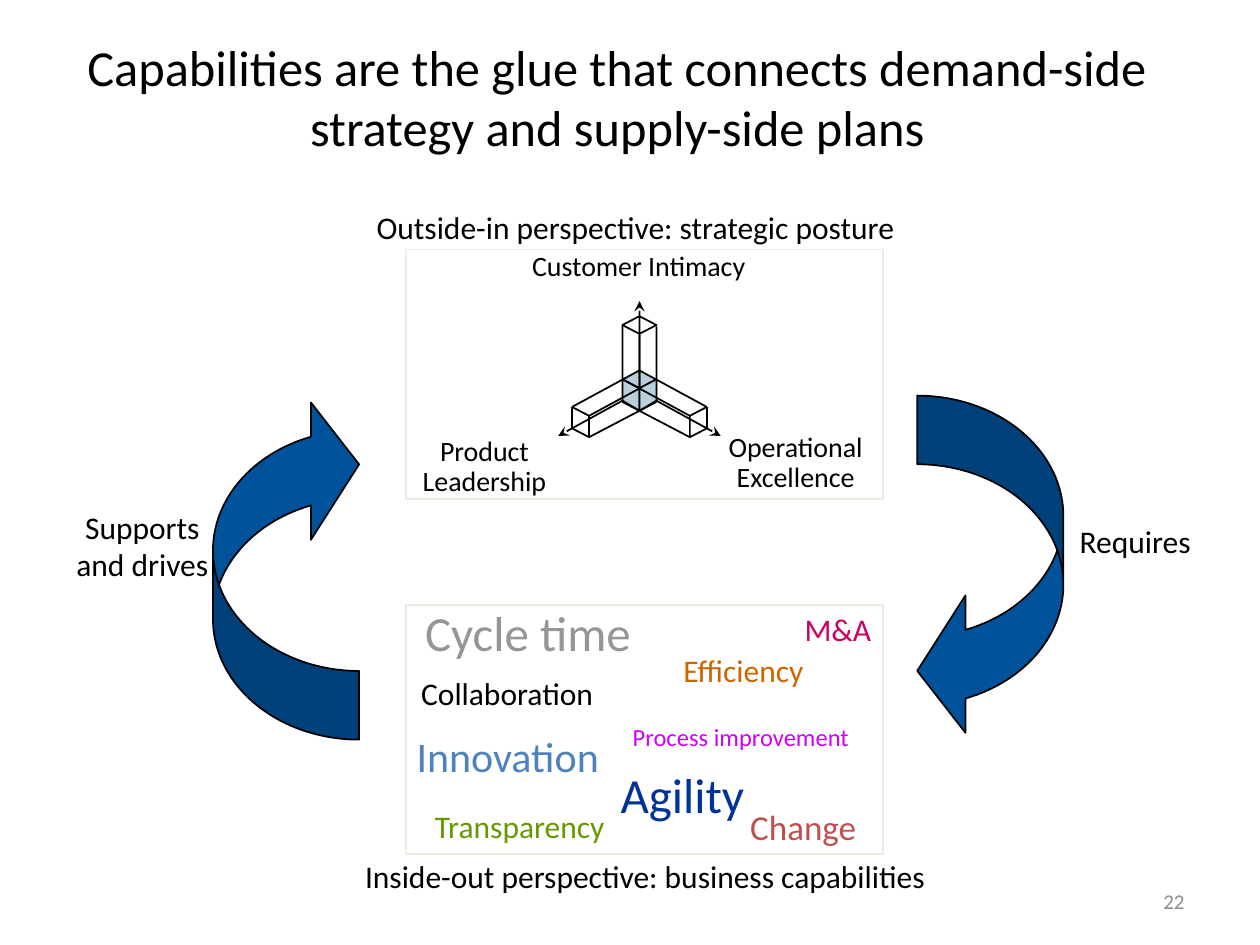
import pptx
import pptx.util
import pptx.dml.color
import pptx.enum.shapes
import pptx.enum.text
import pptx.oxml
import pptx.oxml.ns

RGBColor = pptx.dml.color.RGBColor
MSO_SHAPE = pptx.enum.shapes.MSO_SHAPE
PP_ALIGN = pptx.enum.text.PP_ALIGN
MSO_ANCHOR = pptx.enum.text.MSO_ANCHOR
MSO_AUTO_SIZE = pptx.enum.text.MSO_AUTO_SIZE
Pt = pptx.util.Pt

BLACK = RGBColor(0x00, 0x00, 0x00)
WHITE = RGBColor(0xFF, 0xFF, 0xFF)
CREAM = RGBColor(0xEE, 0xEC, 0xE1)
PALE_BLUE = RGBColor(0xB9, 0xD0, 0xDC)
ARROW_BLUE = RGBColor(0x00, 0x52, 0x9B)
GREY = RGBColor(0x96, 0x96, 0x96)
PAGE_GREY = RGBColor(0x8C, 0x8C, 0x8C)
SKY = RGBColor(0x4F, 0x81, 0xBD)
GREEN = RGBColor(0x66, 0x99, 0x00)
PINK = RGBColor(0xCC, 0x00, 0x66)
ORANGE = RGBColor(0xCC, 0x66, 0x00)
VIOLET = RGBColor(0xCC, 0x00, 0xFF)
RED = RGBColor(0xC0, 0x50, 0x4D)
NAVY = RGBColor(0x00, 0x33, 0x99)

prs = pptx.Presentation()
prs.slide_width = pptx.util.Inches(10)
prs.slide_height = pptx.util.Inches(7.5)
s = prs.slides.add_slide(prs.slide_layouts[6])
CELL = prs.slide_width / 100  # the slide is a grid of 100 columns by 75 rows


def cells(*values):
    return [round(v * CELL) for v in values]


def add_text(text, box, size, color=BLACK, wrap=True, grow=True,
             align=PP_ALIGN.CENTER, anchor=MSO_ANCHOR.TOP, spacing=None):
    tf = s.shapes.add_textbox(*cells(*box)).text_frame
    tf.word_wrap = wrap
    tf.auto_size = MSO_AUTO_SIZE.SHAPE_TO_FIT_TEXT if grow else MSO_AUTO_SIZE.NONE
    tf.vertical_anchor = anchor
    p = tf.paragraphs[0]
    p.text = text
    p.alignment = align
    p.line_spacing = spacing
    p.font.name = "Calibri"
    p.font.size = Pt(size)
    p.font.color.rgb = color


add_text("Capabilities are the glue that connects demand-side strategy and supply-side plans",
         (0.5, 2.8, 97, 9.7), 28.8, grow=False, anchor=MSO_ANCHOR.MIDDLE)

# Upper and lower panels
for top in (19.8, 48):
    sp = s.shapes.add_shape(MSO_SHAPE.RECTANGLE, *cells(32.2, top, 37.9, 19.8))
    sp.shadow.inherit = False
    sp.fill.solid()
    sp.fill.fore_color.rgb = WHITE
    sp.line.color.rgb = CREAM
    sp.line.width = Pt(1)

# Three-axis block: the left and right halves mirror each other about AXIS
AXIS, HALF = 50.75, 1.35
ARM_IN, ARM_OUT = 4, 5.35
strokes = []  # points, fill, arrowhead at the end
for side in (-1, 1):
    half = [
        ([(HALF, 30.1), (HALF, 31.8), (0, 32.6), (0, 30.8)], PALE_BLUE, False),
        ([(-HALF, 30.1), (ARM_IN, 33)], None, False),
        ([(-HALF, 31.9), (ARM_IN, 34.7)], None, False),
        ([(0, 29.4), (ARM_OUT, 32.3)], None, False),
        ([(HALF, 31.8), (6.45, 34.6)], None, True),
        ([(ARM_OUT, 32.3), (ARM_OUT, 34), (ARM_IN, 34.7), (ARM_IN, 33)], None, False),
        ([(ARM_IN, 33), (ARM_OUT, 32.3)], None, False),
    ]
    strokes += [([(AXIS + side * x, y) for x, y in points], fill, arrow)
                for points, fill, arrow in half]
strokes += [
    ([(AXIS - HALF, 25.8), (AXIS - HALF, 30.1), (AXIS, 30.8), (AXIS, 23.9)], None, True),
    ([(AXIS + HALF, 25.9), (AXIS + HALF, 30.1), (AXIS, 30.8), (AXIS, 26.6)], None, False),
]

for top, height, filled in ((29.4, 1.5, True), (25.1, 1.4, False)):
    sp = s.shapes.add_shape(MSO_SHAPE.DIAMOND, *cells(AXIS - HALF, top, 2 * HALF, height))
    sp.shadow.inherit = False
    if filled:
        sp.fill.solid()
        sp.fill.fore_color.rgb = PALE_BLUE
        sp.line.fill.background()
    else:
        sp.fill.background()
        sp.line.color.rgb = BLACK
        sp.line.width = Pt(1)

for points, fill, arrow in strokes:
    corners = [cells(*point) for point in points]
    if len(corners) == 2:
        sp = s.shapes.add_connector(pptx.enum.shapes.MSO_CONNECTOR.STRAIGHT,
                                    *corners[0], *corners[1])
    else:
        builder = s.shapes.build_freeform(*corners[0])
        builder.add_line_segments(corners[1:], close=False)
        sp = builder.convert_to_shape()
        if fill is None:
            sp.fill.background()
        else:
            sp.fill.solid()
            sp.fill.fore_color.rgb = fill
    sp.line.color.rgb = BLACK
    sp.line.width = Pt(1)
    spPr = sp._element.spPr
    if arrow:
        tail = pptx.oxml.parse_xml(
            f'<a:tailEnd {pptx.oxml.ns.nsdecls("a")} type="stealth"/>')
        spPr.find(pptx.oxml.ns.qn("a:ln")).append(tail)
    spPr.append(pptx.oxml.parse_xml(f'<a:effectLst {pptx.oxml.ns.nsdecls("a")}/>'))

for text, box in (
    ("Customer Intimacy", (33.2, 19.5, 35, 3.4)),
    ("Product Leadership", (31.2, 34.2, 14.5, 5.8)),
    ("Operational Excellence", (55.5, 33.9, 15.3, 5.8)),
):
    add_text(text, box, 16, spacing=0.9)

# Cycle arrows
for left, turn in ((72.8, 0), (16.9, 180)):
    sp = s.shapes.add_shape(MSO_SHAPE.CURVED_LEFT_ARROW, *cells(left, 31.4, 11.6, 27.3))
    sp.rotation = turn
    for i, value in enumerate((0.47, 0.94, 0.33)):
        sp.adjustments[i] = value
    sp.shadow.inherit = False
    sp.fill.solid()
    sp.fill.fore_color.rgb = ARROW_BLUE
    sp.line.color.rgb = BLACK
    sp.line.width = Pt(1)

# Captions and capability words
for text, box, size, color, wrap in (
    ("Outside-in perspective: strategic posture", (27.1, 16, 46.7, 4), 18, BLACK, False),
    ("Inside-out perspective: business capabilities", (25.8, 67.5, 50.8, 4), 18, BLACK, False),
    ("Cycle time", (31.8, 47.3, 20.2, 5.7), 28, GREY, False),
    ("Collaboration", (31.9, 53, 16.7, 4), 18, BLACK, False),
    ("Innovation", (31.6, 57.5, 17.4, 5), 24, SKY, False),
    ("Transparency", (32.6, 63.6, 17.3, 4), 18, GREEN, False),
    ("M&A", (62.8, 47.9, 7.4, 4), 18, PINK, False),
    ("Efficiency", (48.5, 51.2, 21, 6.3), 18, ORANGE, False),
    ("Process improvement", (47.5, 56.8, 22.6, 3.3), 14, VIOLET, True),
    ("Change", (57.8, 63.4, 11.9, 4.3), 20, RED, True),
    ("Agility", (47.7, 60.2, 12.9, 5.7), 28, NAVY, True),
    ("Supports and drives", (4.6, 39.8, 13.4, 10), 18, BLACK, True),
    ("Requires", (83.4, 40.9, 13.4, 4), 18, BLACK, True),
):
    add_text(text, box, size, color, wrap)

add_text("22", (71.7, 69.5, 23.3, 4), 12, PAGE_GREY, grow=False,
         align=PP_ALIGN.RIGHT, anchor=MSO_ANCHOR.MIDDLE)

prs.save("out.pptx")
